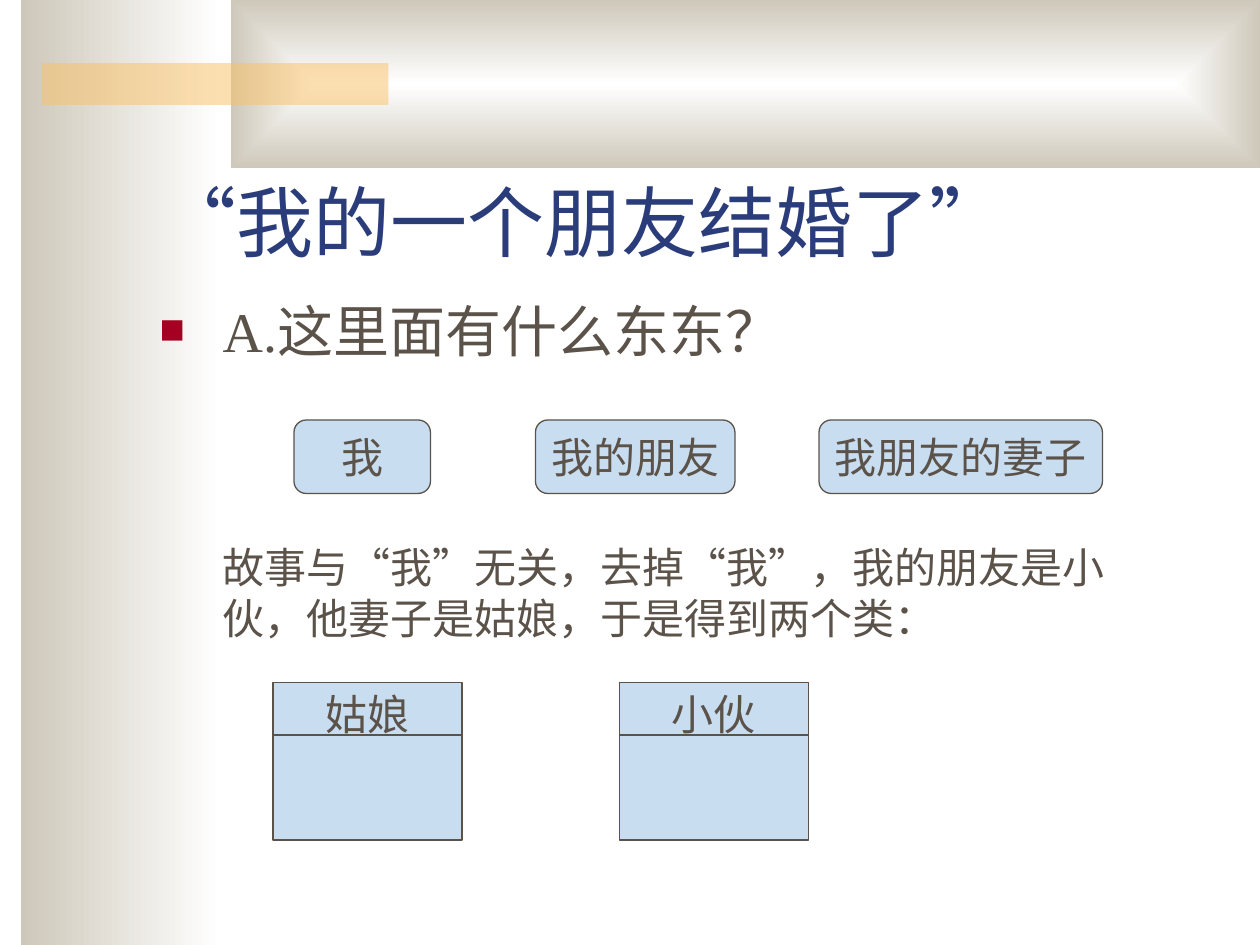
from lxml.etree import SubElement
from pptx import Presentation
from pptx.dml.color import RGBColor
from pptx.enum.lang import MSO_LANGUAGE_ID
from pptx.enum.shapes import MSO_CONNECTOR, MSO_SHAPE
from pptx.enum.text import MSO_ANCHOR, MSO_AUTO_SIZE, PP_ALIGN
from pptx.oxml.ns import qn
from pptx.util import Inches, Pt

FONT = "Times New Roman"
INK, NAVY, RED = "5B5249", "2A3D7A", "A50021"
BLUE, AMBER, WHITE, STONE = "C9DDF1", "FAC164", "FFFFFF", "CEC8BA"
COLUMNS_PER_INCH = 12


def rgb(value):
    return RGBColor.from_string(value)


def grid(*cells):
    return [Inches(c / COLUMNS_PER_INCH) for c in cells]


def place(sp, box):
    sp.left, sp.top, sp.width, sp.height = grid(*box)


def write(sp, text, size, color=INK, align=PP_ALIGN.LEFT, anchor=MSO_ANCHOR.TOP, wrap=True):
    tf = sp.text_frame
    tf.text = text
    tf.word_wrap = wrap
    tf.auto_size = MSO_AUTO_SIZE.NONE
    tf.vertical_anchor = anchor
    p = tf.paragraphs[0]
    p.alignment = align
    p.space_before = Pt(0)
    font = p.runs[0].font
    font.name, font.size = FONT, Pt(size)
    font.color.rgb = rgb(color)
    font.language_id = MSO_LANGUAGE_ID.SIMPLIFIED_CHINESE
    return p


def add_box(shapes, kind, box, fill=BLUE, line=INK):
    sp = shapes.add_shape(kind, *grid(*box))
    sp.shadow.inherit = False
    sp.fill.solid()
    sp.fill.fore_color.rgb = rgb(fill)
    if line:
        sp.line.color.rgb = rgb(line)
        sp.line.width = Pt(0.75)
    else:
        sp.line.fill.background()
    return sp


def add_gradient(shapes, box):
    sp = add_box(shapes, MSO_SHAPE.RECTANGLE, box, line=None)
    sp.fill.gradient()
    sp.fill.gradient_angle = 180
    for stop, color, position in zip(sp.fill.gradient_stops, (WHITE, STONE), (0, 1)):
        stop.color.rgb = rgb(color)
        stop.position = position
    return sp


def add_backdrop(s, side, header, accent):
    side_band = add_gradient(s.shapes, side)
    header_band = add_gradient(s.shapes, header)
    grad = header_band._element.spPr.find(qn("a:gradFill"))
    grad.remove(grad.find(qn("a:lin")))
    center = SubElement(grad, qn("a:path"), path="rect")
    SubElement(center, qn("a:fillToRect"), l="50000", t="50000", r="50000", b="50000")
    bar = add_box(s.shapes, MSO_SHAPE.RECTANGLE, accent, AMBER, None)
    color = bar._element.spPr.find(qn("a:solidFill"))[0]
    SubElement(color, qn("a:alpha"), val="50000")
    for index, sp in enumerate((side_band, header_band, bar), start=2):
        s.shapes._spTree.insert(index, sp._element)


def fill_title(s, box, text):
    sp = s.shapes.title
    place(sp, box)
    write(sp, text, 44, NAVY, anchor=MSO_ANCHOR.BOTTOM)


def fill_body(s, box, text):
    sp = s.placeholders[1]
    place(sp, box)
    pPr = write(sp, text, 32)._p.get_or_add_pPr()
    pPr.set("marL", str(Inches(0.5)))
    pPr.set("indent", str(-Inches(0.5)))
    SubElement(SubElement(pPr, qn("a:buClr")), qn("a:srgbClr"), val=RED)
    SubElement(pPr, qn("a:buSzPct"), val="75000")
    SubElement(pPr, qn("a:buFont"), typeface=FONT)
    SubElement(pPr, qn("a:buChar"), char="■")


def add_people(s, top, height, people):
    for left, width, name in people:
        sp = add_box(s.shapes, MSO_SHAPE.ROUNDED_RECTANGLE, (left, top, width, height))
        write(sp, name, 24, align=PP_ALIGN.CENTER, anchor=MSO_ANCHOR.MIDDLE, wrap=False)


def add_explanation(s, box, text):
    write(s.shapes.add_textbox(*grid(*box)), text, 24)


def add_class(s, box, name, header_rows=5):
    left, top, width, _ = box
    group = s.shapes.add_group_shape()
    sp = add_box(group.shapes, MSO_SHAPE.RECTANGLE, box)
    write(sp, name, 24, align=PP_ALIGN.CENTER, wrap=False)
    y = top + header_rows
    divider = group.shapes.add_connector(
        MSO_CONNECTOR.STRAIGHT, *grid(left, y, left + width, y))
    divider.line.color.rgb = rgb(INK)
    divider.line.width = Pt(0.75)
    SubElement(divider._element.spPr, qn("a:effectLst"))


def main():
    prs = Presentation()
    prs.slide_width, prs.slide_height = Inches(10), Inches(7.5)
    s = prs.slides.add_slide(prs.slide_layouts[1])
    add_backdrop(s, side=(2, 0, 19, 90), header=(22, 0, 98, 16), accent=(4, 6, 33, 4))
    fill_title(s, (14, 11, 102, 15), "“我的一个朋友结婚了”")
    fill_body(s, (14, 27.6, 102, 54), "A.这里面有什么东东？")
    add_people(s, 40, 7, [(28, 13, "我"), (51, 19, "我的朋友"), (78, 27, "我朋友的妻子")])
    add_explanation(s, (20, 51, 87, 10.8),
                    "故事与“我”无关，去掉“我”，我的朋友是小伙，他妻子是姑娘，于是得到两个类：")
    for index, name in enumerate(("姑娘", "小伙")):
        add_class(s, (26 + 33 * index, 65, 18, 15), name)
    prs.save("out.pptx")


if __name__ == "__main__":
    main()
